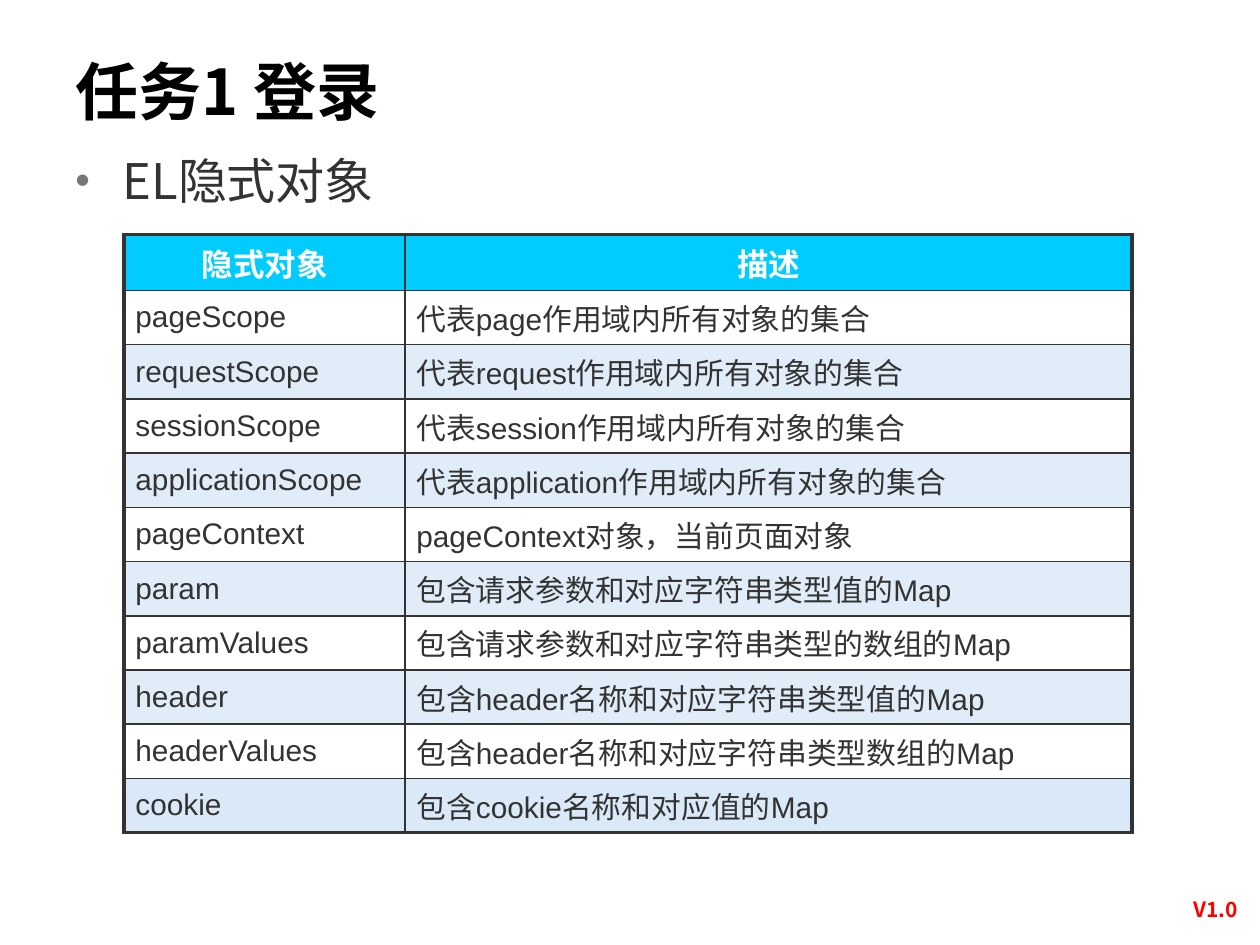
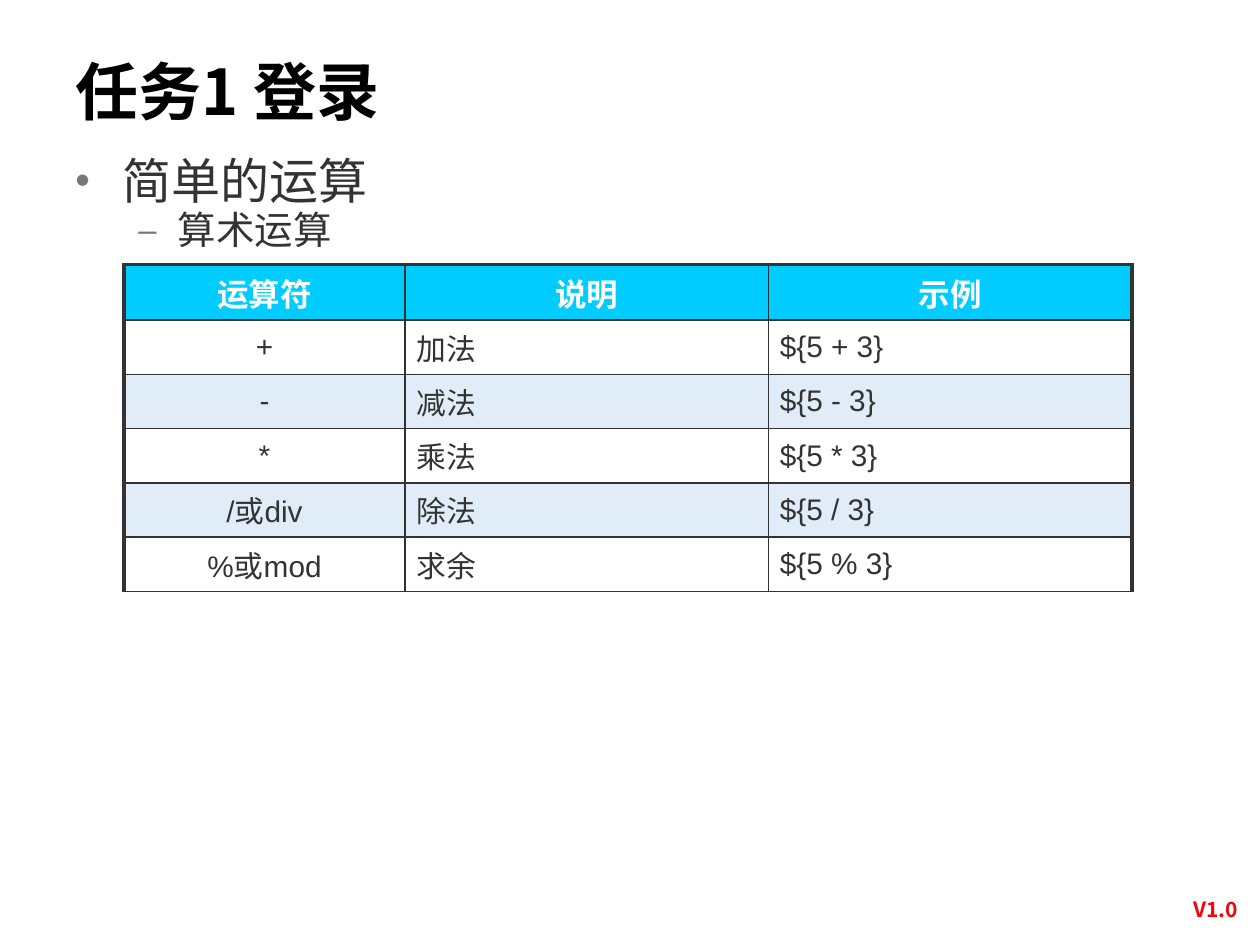
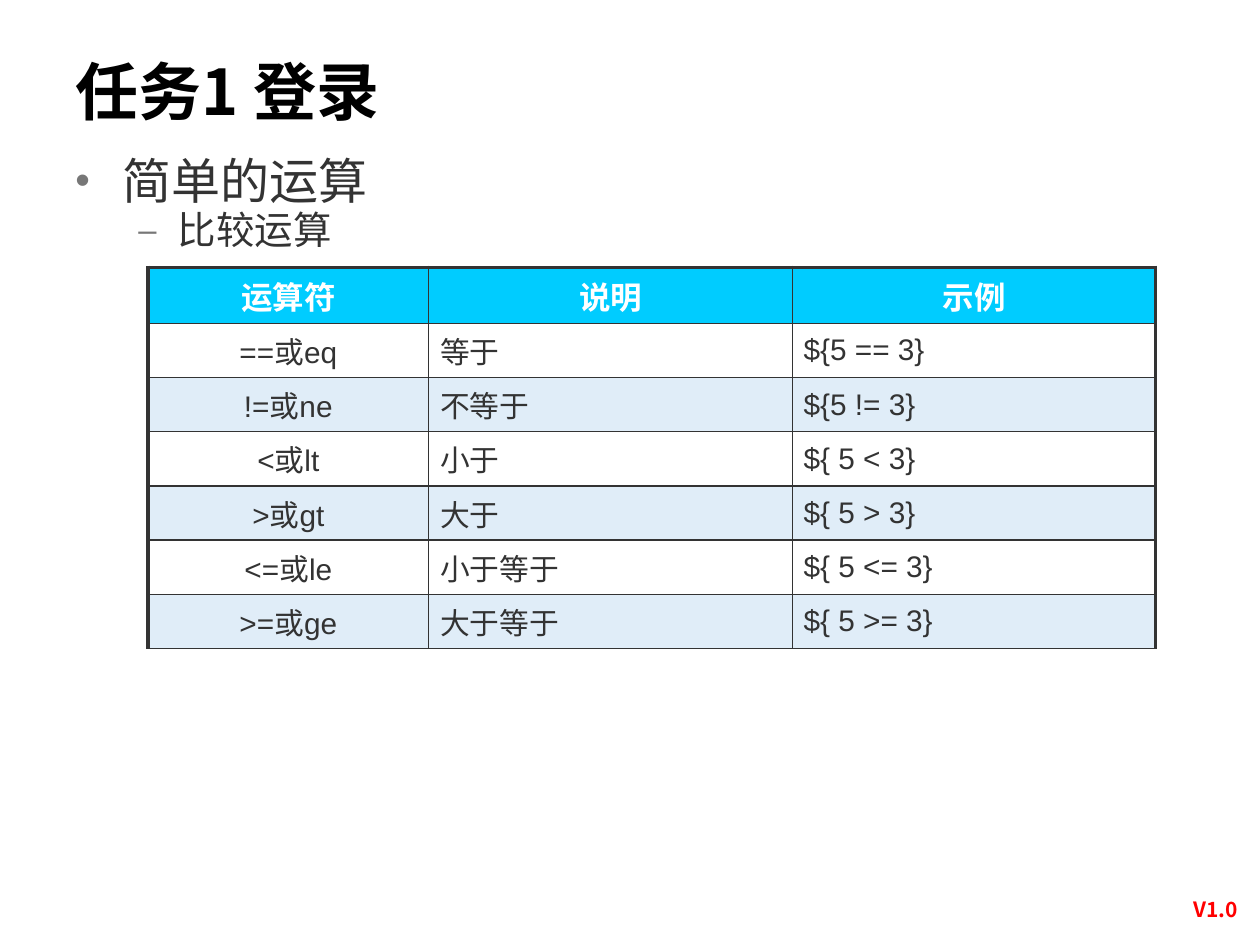
"""Build three lesson slides on EL implicit objects and operators."""
from dataclasses import dataclass

from lxml import etree
from pptx import Presentation, util as u
from pptx.dml.color import RGBColor
from pptx.enum import text
from pptx.oxml.ns import qn


@dataclass(frozen=True)
class Style:
    size: float
    color: str
    font: str
    bold: bool = False


@dataclass(frozen=True)
class Theme:
    cjk: str = "Noto Sans CJK SC"
    title: Style = Style(36, "000000", "Noto Sans CJK SC", True)
    version: Style = Style(12, "FF0000", "Noto Sans CJK SC", True)
    header: Style = Style(18, "FFFFFF", "Arial", True)
    cell: Style = Style(17, "333333", "Arial")
    bullet: str = "777777"
    bullet_percent: int = 85
    header_fill: str = "00CCFF"
    band_fill: str = "E0EDF8"
    last_fill: str = "D9E9F7"
    rule: str = "333333"
    thin: float = 1
    thick: float = 2.25


@dataclass(frozen=True)
class Level:
    mark: str
    left: float
    hang: float
    spacing: float
    style: Style


@dataclass(frozen=True)
class Grid:
    left: float
    top: float
    widths: tuple[float, ...]
    rows: tuple[tuple[str, ...], ...]
    centered_first: bool = True
    closed: bool = False


@dataclass(frozen=True)
class Topic:
    bullets: tuple[str, ...]
    grid: Grid


THEME = Theme()
LEVELS = (
    Level("•", 27, 27, 1.0, Style(28, "333333", THEME.cjk)),
    Level("–", 58.5, 22.5, 0.95, Style(22, "333333", THEME.cjk)),
)
TITLE = "任务1 登录"
VERSION = "V1.0"
HEADER_HEIGHT, ROW_HEIGHT = 32, 31
OPERATOR_WIDTHS = (160.5, 207.75, 207.75)
OPERATOR_HEADER = ("运算符", "说明", "示例")

TOPICS = (
    Topic(("EL隐式对象",), Grid(70.9, 134, (160.5, 415.5), (
        ("隐式对象", "描述"),
        *((f"{scope}Scope", f"代表{scope}作用域内所有对象的集合")
          for scope in ("page", "request", "session", "application")),
        ("pageContext", "pageContext对象，当前页面对象"),
        ("param", "包含请求参数和对应字符串类型值的Map"),
        ("paramValues", "包含请求参数和对应字符串类型的数组的Map"),
        ("header", "包含header名称和对应字符串类型值的Map"),
        ("headerValues", "包含header名称和对应字符串类型数组的Map"),
        ("cookie", "包含cookie名称和对应值的Map"),
    ), centered_first=False, closed=True)),
    Topic(("简单的运算", "算术运算"), Grid(70.9, 151, OPERATOR_WIDTHS, (
        OPERATOR_HEADER,
        ("+", "加法", "${5 + 3}"),
        ("-", "减法", "${5 - 3}"),
        ("*", "乘法", "${5 * 3}"),
        ("/或div", "除法", "${5 / 3}"),
        ("%或mod", "求余", "${5 % 3}"),
    ))),
    Topic(("简单的运算", "比较运算"), Grid(84.5, 152.75, OPERATOR_WIDTHS, (
        OPERATOR_HEADER,
        ("==或eq", "等于", "${5 == 3}"),
        ("!=或ne", "不等于", "${5 != 3}"),
        ("<或lt", "小于", "${ 5 < 3}"),
        (">或gt", "大于", "${ 5 > 3}"),
        ("<=或le", "小于等于", "${ 5 <= 3}"),
        (">=或ge", "大于等于", "${ 5 >= 3}"),
    ))),
)


def assign(target: object, values: dict) -> None:
    for name, value in values.items():
        setattr(target, name, value)


def write(para, words: str, style: Style, align=text.PP_ALIGN.LEFT) -> None:
    para.alignment = align
    span = para.add_run()
    span.text = words
    assign(span.font, {"size": u.Pt(style.size), "name": style.font, "bold": style.bold})
    span.font.color.rgb = RGBColor.from_string(style.color)
    etree.SubElement(span.font._element, qn("a:ea"), typeface=THEME.cjk)


def place(box, left: float, top: float, width: float, height: float) -> None:
    lengths = {"left": left, "top": top, "width": width, "height": height}
    assign(box, {name: u.Pt(value) for name, value in lengths.items()})


def add_title(page) -> None:
    box = page.shapes.title
    place(box, 36, 21.5, 574, 55.5)
    assign(box.text_frame, {"vertical_anchor": text.MSO_ANCHOR.BOTTOM,
                            "auto_size": text.MSO_AUTO_SIZE.NONE, "word_wrap": True})
    write(box.text_frame.paragraphs[0], TITLE, THEME.title)


def add_version(page) -> None:
    box = page.shapes.add_textbox(u.Pt(666), u.Pt(509), u.Pt(57), u.Pt(21.75))
    box.text_frame.word_wrap = True
    write(box.text_frame.paragraphs[0], VERSION, THEME.version, text.PP_ALIGN.CENTER)


def add_bullets(page, bullets: tuple[str, ...]) -> None:
    frame = page.shapes.add_textbox(u.Pt(36), u.Pt(82.75), u.Pt(641.5), u.Pt(391)).text_frame
    frame.word_wrap = True
    for depth, (words, level) in enumerate(zip(bullets, LEVELS)):
        para = frame.add_paragraph() if depth else frame.paragraphs[0]
        assign(para, {"level": depth, "line_spacing": level.spacing})
        write(para, words, level.style)
        format_element = para._p.get_or_add_pPr()
        format_element.set("marL", str(u.Pt(level.left)))
        format_element.set("indent", str(-u.Pt(level.hang)))
        color = etree.SubElement(format_element, qn("a:buClr"))
        etree.SubElement(color, qn("a:srgbClr"), val=THEME.bullet)
        etree.SubElement(format_element, qn("a:buSzPct"), val=str(THEME.bullet_percent * 1000))
        etree.SubElement(format_element, qn("a:buFont"), typeface="Arial")
        etree.SubElement(format_element, qn("a:buChar"), char=level.mark)


def add_borders(cell, thick_sides: dict[str, bool]) -> None:
    for side, thick in thick_sides.items():
        width = u.Pt(THEME.thick if thick else THEME.thin)
        line = etree.SubElement(cell._tc.get_or_add_tcPr(), qn(f"a:ln{side}"), w=str(width))
        fill = etree.SubElement(line, qn("a:solidFill"))
        etree.SubElement(fill, qn("a:srgbClr"), val=THEME.rule)


def row_fill(row: int, last: bool) -> str | None:
    if row == 0:
        return THEME.header_fill
    if row % 2:
        return None
    return THEME.last_fill if last else THEME.band_fill


def add_grid(page, grid: Grid) -> None:
    heights = [HEADER_HEIGHT] + [ROW_HEIGHT] * (len(grid.rows) - 1)
    table = page.shapes.add_table(
        len(grid.rows), len(grid.widths), u.Pt(grid.left), u.Pt(grid.top),
        u.Pt(sum(grid.widths)), u.Pt(sum(heights))).table
    assign(table, {"first_row": False, "horz_banding": False})
    for column, width in zip(table.columns, grid.widths):
        column.width = u.Pt(width)
    for row, (values, height) in enumerate(zip(grid.rows, heights)):
        table.rows[row].height = u.Pt(height)
        last = grid.closed and row == len(grid.rows) - 1
        color = row_fill(row, last)
        for column, words in enumerate(values):
            cell = table.cell(row, column)
            assign(cell, {"vertical_anchor": text.MSO_ANCHOR.MIDDLE,
                          "margin_left": u.Pt(6.5), "margin_right": u.Pt(6.5),
                          "margin_top": u.Pt(3), "margin_bottom": u.Pt(3)})
            add_borders(cell, {"L": column == 0, "R": column == len(values) - 1,
                               "T": row == 0, "B": last})
            if color:
                cell.fill.solid()
                cell.fill.fore_color.rgb = RGBColor.from_string(color)
            else:
                cell.fill.background()
            centered = row == 0 or (column == 0 and grid.centered_first)
            write(cell.text_frame.paragraphs[0], words,
                  THEME.cell if row else THEME.header,
                  text.PP_ALIGN.CENTER if centered else text.PP_ALIGN.LEFT)


def build() -> None:
    deck = Presentation()
    assign(deck, {"slide_width": u.Pt(720), "slide_height": u.Pt(540)})
    for topic in TOPICS:
        page = deck.slides.add_slide(deck.slide_layouts.get_by_name("Title Only"))
        add_version(page)
        add_title(page)
        add_bullets(page, topic.bullets)
        add_grid(page, topic.grid)
    deck.save("out.pptx")


build()
